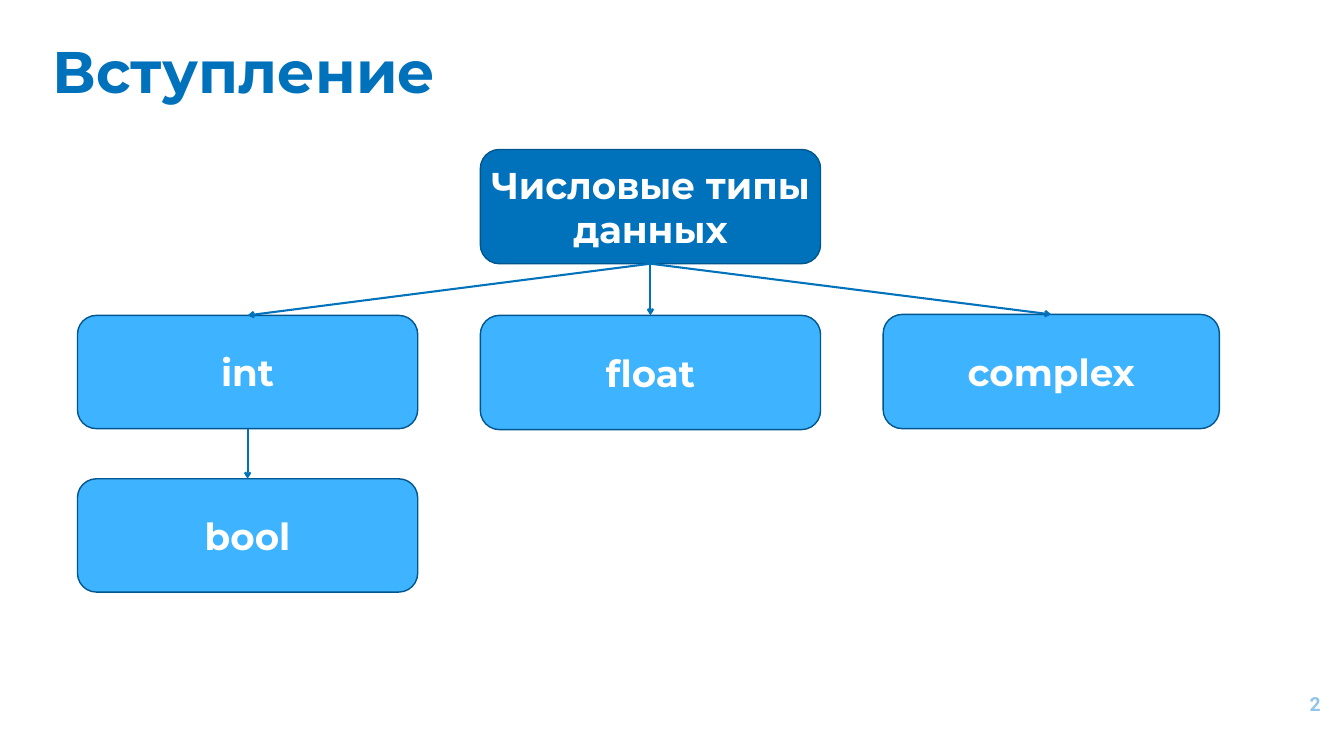
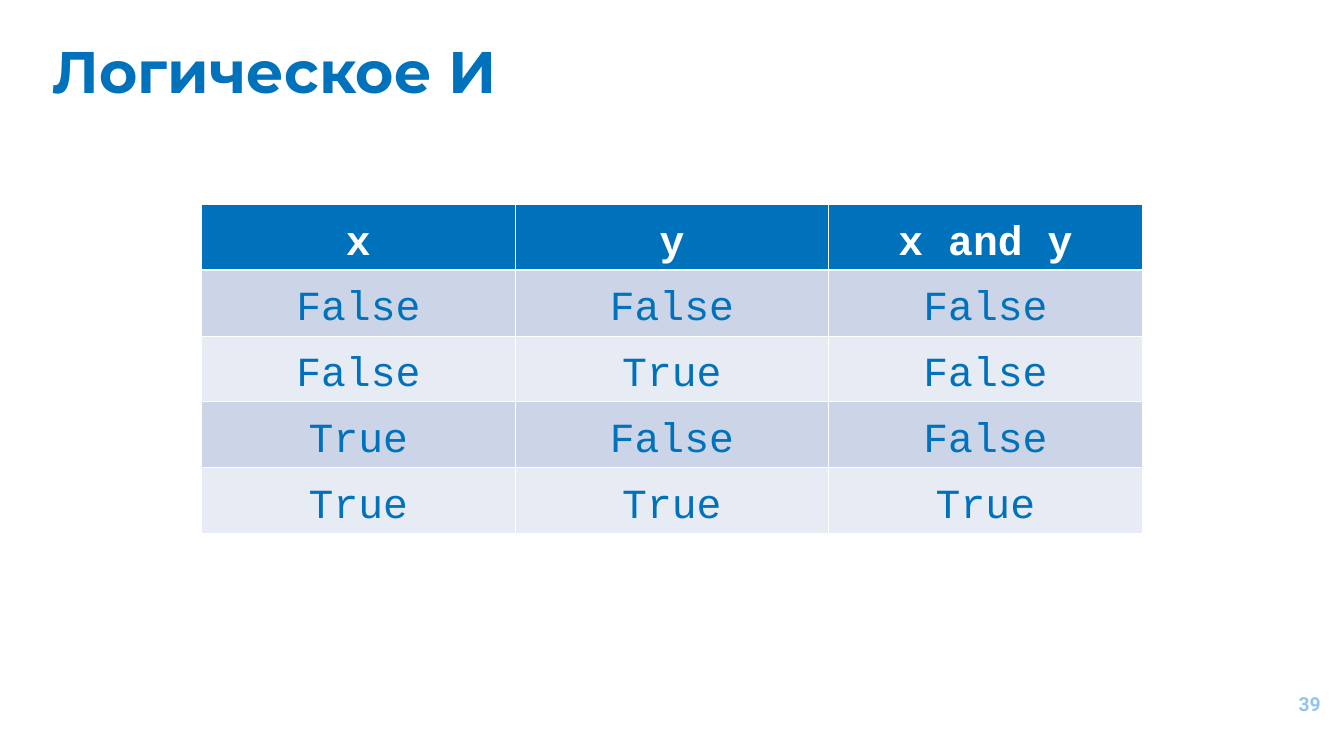
import pptx
import pptx.dml.color
import pptx.enum.shapes
import pptx.enum.text
import pptx.oxml.ns
import pptx.util
from lxml import etree

Pt = pptx.util.Pt
RGBColor = pptx.dml.color.RGBColor
Align = pptx.enum.text.PP_ALIGN
Anchor = pptx.enum.text.MSO_ANCHOR
qn = pptx.oxml.ns.qn

BLUE = RGBColor(0x00, 0x72, 0xBC)
SKY = RGBColor(0x3E, 0xB3, 0xFF)
OUTLINE = RGBColor(0x00, 0x56, 0x8D)
PALE = RGBColor(0x92, 0xC5, 0xEB)
WHITE = RGBColor(0xFF, 0xFF, 0xFF)
BANDS = [RGBColor(0xCC, 0xD5, 0xE7), RGBColor(0xE7, 0xEB, 0xF3)]

TYPES_SLIDE = ("Вступление", 1723, "2")
AND_SLIDE = ("Логическое И", 1600.5, "39")

ROOT = "Числовые типы данных"
NODES = [
    (ROOT, 1, 216.7, 493.2, 165.6, BLUE),
    ("int", 0, 457.2, 493.2, 164.2, SKY),
    ("float", 1, 457.2, 493.2, 165.6, SKY),
    ("complex", 2, 455.8, 487.4, 165.6, SKY),
    ("bool", 0, 694.1, 493.2, 164.2, SKY),
]
LINKS = [(ROOT, "int"), (ROOT, "float"), (ROOT, "complex"), ("int", "bool")]
FIRST_COLUMN, COLUMN_STEP = 112.3, 584

TRUTH_TABLE = [
    ("x", "y", "x and y"),
    ("False", "False", "False"),
    ("False", "True", "False"),
    ("True", "False", "False"),
    ("True", "True", "True"),
]
TABLE_LEFT, TABLE_TOP, CELL_WIDTH, CELL_HEIGHT = 292.3, 295.9, 454.5, 95


def write(frame, text, font_name, size, color, bold=True, align=Align.LEFT):
    paragraph = frame.paragraphs[0]
    paragraph.alignment = align
    run = paragraph.add_run()
    run.text = text
    run.font.name = font_name
    run.font.size = Pt(size)
    run.font.bold = bold
    run.font.color.rgb = color
    return paragraph


def set_frame(frame, anchor):
    frame.word_wrap = True
    frame.auto_size = pptx.enum.text.MSO_AUTO_SIZE.NONE
    frame.vertical_anchor = anchor
    frame.margin_left = frame.margin_right = Pt(7.2)
    frame.margin_top = frame.margin_bottom = Pt(7.2)


def add_slide(presentation, title_text, title_width, number):
    slide = presentation.slides.add_slide(presentation.slide_layouts[5])
    title = slide.shapes.title
    title.left, title.top = Pt(69.1), Pt(43.9)
    title.width, title.height = Pt(title_width), Pt(138.2)
    set_frame(title.text_frame, Anchor.TOP)
    write(title.text_frame, title_text, "Montserrat", 85, BLUE)
    number_box = slide.shapes.add_textbox(Pt(1805), Pt(979.2), Pt(116.6), Pt(82.8))
    set_frame(number_box.text_frame, Anchor.MIDDLE)
    write(number_box.text_frame, number, "Roboto", 28, PALE, align=Align.RIGHT)
    return slide


def add_node(slide, text, column, top, width, height, fill):
    node = slide.shapes.add_shape(
        pptx.enum.shapes.MSO_SHAPE.ROUNDED_RECTANGLE,
        Pt(FIRST_COLUMN + column * COLUMN_STEP), Pt(top), Pt(width), Pt(height))
    node.shadow.inherit = False
    node.fill.solid()
    node.fill.fore_color.rgb = fill
    node.line.color.rgb = OUTLINE
    node.line.width = Pt(2)
    node.text_frame.word_wrap = True
    node.text_frame.vertical_anchor = Anchor.MIDDLE
    write(node.text_frame, text, "Montserrat", 54, WHITE, align=Align.CENTER)
    return node


def add_arrow(slide, parent, child):
    arrow = slide.shapes.add_connector(
        pptx.enum.shapes.MSO_CONNECTOR.STRAIGHT, Pt(0), Pt(0), Pt(0), Pt(0))
    arrow.begin_connect(parent, 2)
    arrow.end_connect(child, 0)
    arrow.line.color.rgb = BLUE
    arrow.line.width = Pt(3)
    etree.SubElement(arrow.line._get_or_add_ln(), qn("a:tailEnd"), type="arrow")
    etree.SubElement(arrow._element.spPr, qn("a:effectLst"))


def set_borders(cell, bottom_width):
    properties = cell._tc.get_or_add_tcPr()
    for side, width in [("L", 1), ("R", 1), ("T", 1), ("B", bottom_width)]:
        border = etree.SubElement(properties, qn("a:ln" + side), w=str(Pt(width)))
        fill = etree.SubElement(border, qn("a:solidFill"))
        etree.SubElement(fill, qn("a:srgbClr"), val=str(WHITE))


def add_truth_table(slide):
    row_count, column_count = len(TRUTH_TABLE), len(TRUTH_TABLE[0])
    table = slide.shapes.add_table(
        row_count, column_count, Pt(TABLE_LEFT), Pt(TABLE_TOP),
        Pt(CELL_WIDTH * column_count), Pt(CELL_HEIGHT * row_count)).table
    for row_index, values in enumerate(TRUTH_TABLE):
        header = row_index == 0
        for column_index, value in enumerate(values):
            cell = table.cell(row_index, column_index)
            set_borders(cell, 3 if header else 1)
            cell.fill.solid()
            cell.fill.fore_color.rgb = BLUE if header else BANDS[(row_index - 1) % 2]
            paragraph = write(cell.text_frame, value, "Courier New", 60,
                              WHITE if header else BLUE, header, Align.CENTER)
            paragraph.line_spacing = 1.3


def main():
    presentation = pptx.Presentation()
    presentation.slide_width, presentation.slide_height = Pt(1948.3), Pt(1080)

    types_slide = add_slide(presentation, *TYPES_SLIDE)
    nodes = {node[0]: add_node(types_slide, *node) for node in NODES}
    for parent, child in LINKS:
        add_arrow(types_slide, nodes[parent], nodes[child])

    add_truth_table(add_slide(presentation, *AND_SLIDE))
    presentation.save("out.pptx")


if __name__ == "__main__":
    main()
